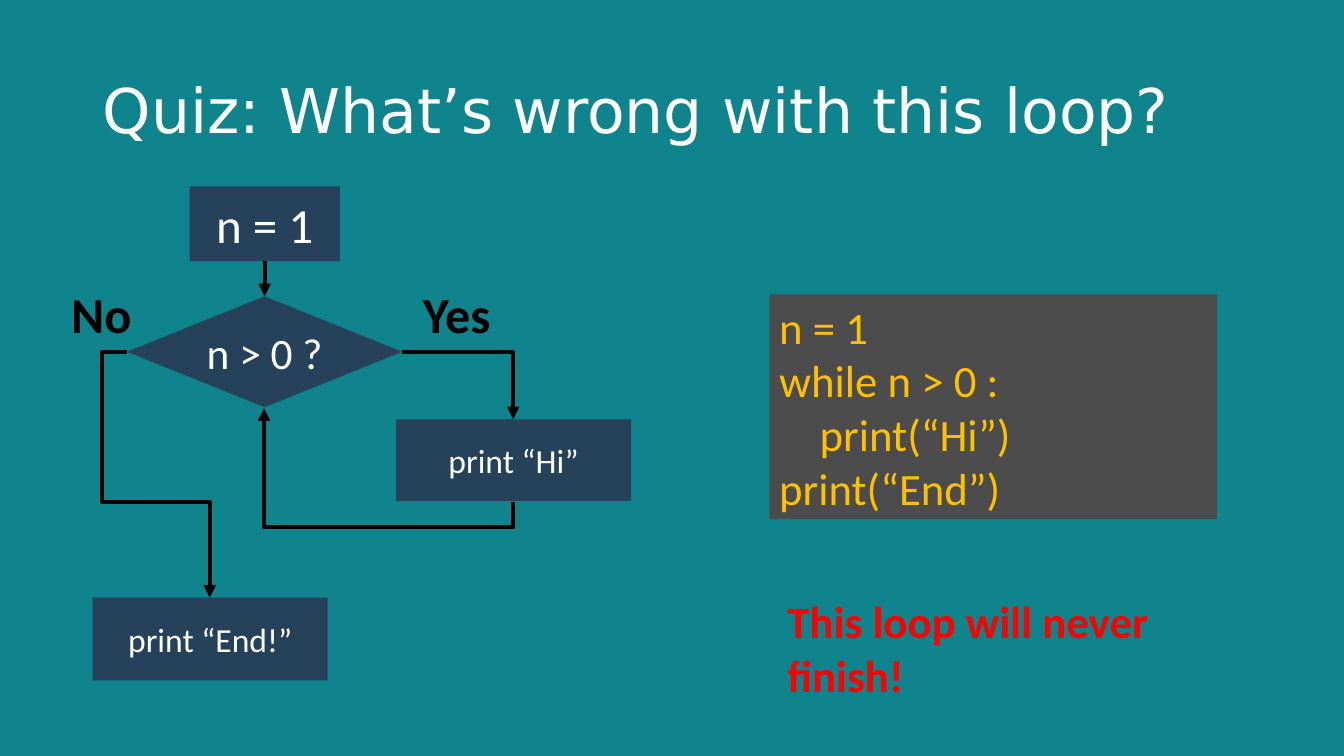
"""Build a quiz slide with the flowchart and code of an endless loop."""
from pptx import Presentation
from pptx import util as u
from pptx.dml.color import RGBColor
from pptx.enum import shapes, text
from pptx.oxml.ns import qn
from lxml import etree

WHITE, BLACK, NAVY = "FFFFFF", "000000", "26425B"
MIDDLE, TOP = text.MSO_ANCHOR.MIDDLE, text.MSO_ANCHOR.TOP
CENTER, LEFT = text.PP_ALIGN.CENTER, text.PP_ALIGN.LEFT


def color(value):
    return RGBColor.from_string(value)


def write(box, lines, size, ink, anchor=MIDDLE, align=CENTER, margins=(0, 0),
          bold=False, wrap=True, font="Calibri"):
    frame = box.text_frame
    frame.text = lines
    frame.word_wrap = wrap
    frame.vertical_anchor = anchor
    frame.margin_left = frame.margin_right = u.Inches(margins[0])
    frame.margin_top = frame.margin_bottom = u.Inches(margins[1])
    for para in frame.paragraphs:
        para.alignment = align
        for span in para.runs:
            span.font.name = font
            span.font.size = u.Pt(size)
            span.font.bold = bold
            span.font.color.rgb = color(ink)


deck = Presentation()
deck.slide_width, deck.slide_height = u.Inches(13.33), u.Inches(7.5)
page = deck.slides.add_slide(deck.slide_layouts[6])
page.background.fill.solid()
page.background.fill.fore_color.rgb = color("0F848D")

title = page.shapes.add_textbox(*map(u.Inches, (0.92, 0.4, 11.5, 1.45)))
write(title, "Quiz: What’s wrong with this loop?", 44, WHITE, align=LEFT,
      margins=(0.1, 0.05), font="DejaVu Sans")
title.text_frame.paragraphs[0].line_spacing = 0.9

RECTANGLE, DIAMOND = shapes.MSO_SHAPE.RECTANGLE, shapes.MSO_SHAPE.DIAMOND
code = "n = 1\nwhile n > 0 :\n    print(“Hi”)\nprint(“End”)"
code_style = dict(anchor=TOP, align=LEFT, margins=(0.1, 0.05))
blocks = []
for kind, place, fill, words, size, ink, style in [
    (DIAMOND, (1.26, 2.94, 2.73, 1.1), NAVY, "n > 0 ?", 31, WHITE, {}),
    (RECTANGLE, (1.88, 1.85, 1.49, 0.74), NAVY, "n = 1", 35, WHITE, {}),
    (RECTANGLE, (3.93, 4.16, 2.33, 0.81), NAVY, "print “Hi”", 24, WHITE, {}),
    (RECTANGLE, (0.92, 5.93, 2.33, 0.82), NAVY, "print “End!”", 24, WHITE, {}),
    (RECTANGLE, (7.63, 2.92, 4.44, 2.23), "4C4C4C", code, 32, "FFC000", code_style),
]:
    block = page.shapes.add_shape(kind, *map(u.Inches, place))
    block.shadow.inherit = False
    block.fill.solid()
    block.fill.fore_color.rgb = color(fill)
    block.line.fill.background()
    write(block, words, size, ink, **style)
    blocks.append(block)
test, start = blocks[:2]

for label, left, width in [("No", 0.63, 0.75), ("Yes", 4.04, 0.98)]:
    box = page.shapes.add_textbox(*map(u.Inches, (left, 2.81, width, 0.6)))
    write(box, label, 36, BLACK, bold=True, wrap=False)

answer = page.shapes.add_textbox(*map(u.Inches, (7.71, 5.84, 4.15, 1.16)))
write(answer, "This loop will never finish!", 32, "FF0000", anchor=TOP,
      align=LEFT, margins=(0.1, 0.05), bold=True)

STRAIGHT, ELBOW = shapes.MSO_CONNECTOR.STRAIGHT, shapes.MSO_CONNECTOR.ELBOW
arrows = []
for kind, ends, preset, turn, bends in [
    (STRAIGHT, (2.63, 2.59, 2.63, 2.94), "line", 0, []),
    (ELBOW, (3.99, 3.49, 5.09, 4.16), "bentConnector2", 0, []),
    (ELBOW, (4.32, 3.28, 3.39, 5.75), "bentConnector3", 90, [-0.27]),
    (ELBOW, (1.26, 3.49, 2.08, 5.93), "bentConnector4", 0, [-0.3, 0.61]),
]:
    arrow = page.shapes.add_connector(kind, *map(u.Inches, ends))
    arrow.line.color.rgb = color(BLACK)
    arrow.line.width = u.Pt(3)
    etree.SubElement(arrow.line._get_or_add_ln(), qn("a:tailEnd"), type="triangle")
    props = arrow._element.spPr
    etree.SubElement(props, qn("a:effectLst"))
    props.find(qn("a:xfrm")).set("rot", str(turn * 60000))
    outline = props.find(qn("a:prstGeom"))
    outline.set("prst", preset)
    guides = outline.find(qn("a:avLst"))
    for number, bend in enumerate(bends, 1):
        etree.SubElement(guides, qn("a:gd"), name=f"adj{number}",
                         fmla=f"val {round(bend * 100000)}")
    arrows.append(arrow)
arrows[0].begin_connect(start, 2)
arrows[0].end_connect(test, 0)

deck.save("out.pptx")
